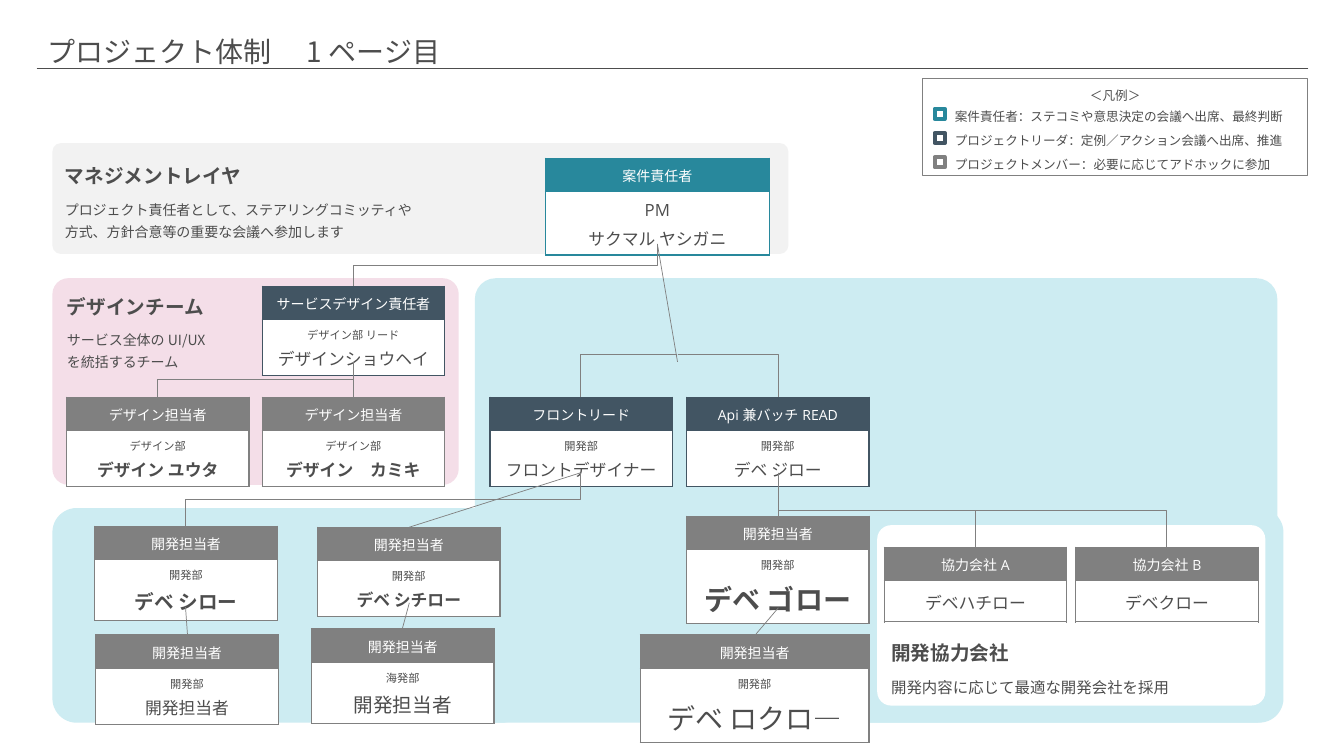
"""Build the project organisation slide."""
import pptx
import pptx.util
import pptx.dml.color
import pptx.enum.shapes
import pptx.enum.text
import pptx.oxml
import pptx.oxml.ns
import lxml.etree

PX = 9144
HUE = {"ink": "4D4D4D", "white": "FFFFFF", "teal": "28889C", "navy": "425563",
       "gray": "808080", "pale": "F2F2F2", "pink": "F4DEE8", "aqua": "CDECF2"}
RGB = {key: pptx.dml.color.RGBColor.from_string(hue) for key, hue in HUE.items()}
NOTO, OPEN = "Noto Sans CJK JP", "Open Sans"
Pt = pptx.util.Pt
Form = pptx.enum.shapes.MSO_SHAPE
Link = pptx.enum.shapes.MSO_CONNECTOR
Align = pptx.enum.text.PP_ALIGN
Anchor = pptx.enum.text.MSO_ANCHOR
qn = pptx.oxml.ns.qn


def write(frame, rows, align, lead, after, color="ink"):
    """Fill a text frame with rows of text, size, bold and font."""
    for i, (text, size, bold, face) in enumerate(rows):
        para = frame.paragraphs[0] if i == 0 else frame.add_paragraph()
        para.alignment, para.line_spacing, para.space_after = align, lead, Pt(after)
        for j, part in enumerate(text.split("\n")):
            if j:
                para.add_line_break()
            run = para.add_run()
            run.text = part
            run.font.size, run.font.bold, run.font.name = Pt(size), bold, face
            run.font.color.rgb = RGB[color]
            east = lxml.etree.SubElement(run.font._element, qn("a:ea"))
            east.set("typeface", NOTO)


def block(form, box, fill, line=None, width=1):
    """Add a plain shape with its fill and outline."""
    shape = slide.shapes.add_shape(form, *[n * PX for n in box])
    shape.shadow.inherit = False
    shape.fill.solid()
    shape.fill.fore_color.rgb = RGB[fill]
    if line:
        shape.line.color.rgb = RGB[line]
        shape.line.width = Pt(width)
    else:
        shape.line.fill.background()
    return shape


deck = pptx.Presentation()
deck.slide_width, deck.slide_height = 1333 * PX, 750 * PX
slide = deck.slides.add_slide(deck.slide_layouts[5])

title = slide.shapes.title
title.left, title.top, title.width, title.height = 37 * PX, 68 * PX, 1260 * PX, 0
title.line.color.rgb = RGB["ink"]
title.line.width = Pt(0.75)
title.text_frame.vertical_anchor = Anchor.BOTTOM
title.text_frame.auto_size = pptx.enum.text.MSO_AUTO_SIZE.NONE
write(title.text_frame, [("プロジェクト体制　1ページ目", 20, False, NOTO)], Align.LEFT, 0.9, 0)

panels = [
    ((803, 504, 470, 213), 0.113, "aqua", Anchor.TOP, "", "", 10),
    ((52, 142, 730, 110), 0.077, "pale", Anchor.MIDDLE, "マネジメントレイヤ",
     "プロジェクト責任者として、ステアリングコミッティや\n方式、方針合意等の重要な会議へ参加します", 10),
    ((52, 276, 403, 205), 0.077, "pink", Anchor.TOP, "デザインチーム",
     "サービス全体のUI/UX\nを統括するチーム", 10),
    ((471, 276, 796, 441), 0.047, "aqua", Anchor.TOP, "", "", 10),
    ((52, 504, 470, 213), 0.113, "aqua", Anchor.TOP, "", "", 10),
    ((870, 521, 385, 179), 0.077, "white", Anchor.BOTTOM, "開発協力会社",
     "開発内容に応じて最適な開発会社を採用", 11),
]
for box, bend, fill, anchor, head, body, size in panels:
    panel = block(Form.ROUNDED_RECTANGLE, box, fill)
    panel.adjustments[0] = bend
    panel.text_frame.vertical_anchor = anchor
    if head:
        write(panel.text_frame, [(head, 14, True, NOTO), (body, size, False, NOTO)],
              Align.LEFT, 1.3, 6)

cards = [
    (541, 157, 222, 95, "teal", "案件責任者", "PM", "サクマル ヤシガニ", 12, False),
    (260, 284, 181, 88, "navy", "サービスデザイン責任者", "デザイン部 リード", "デザインショウヘイ", 12, False),
    (260, 394, 181, 88, "gray", "デザイン担当者", "デザイン部", "デザイン　カミキ", 12, True),
    (66, 394, 181, 88, "gray", "デザイン担当者", "デザイン部", "デザイン ユウタ", 12, True),
    (486, 394, 181, 88, "navy", "フロントリード", "開発部", "フロントデザイナー", 12, False),
    (681, 394, 181, 88, "navy", "Api兼バッチREAD", "開発部", "デベ ジロー", 12, False),
    (681, 512, 181, 106, "gray", "開発担当者", "開発部", "デベ ゴロー", 20, True),
    (635, 630, 227, 106, "gray", "開発担当者", "開発部", "デベ ロクロ―", 20, False),
    (315, 523, 181, 88, "gray", "開発担当者", "開発部", "デベ シチロー", 12, True),
    (309, 624, 181, 93, "gray", "開発担当者", "海発部", "開発担当者", 14, False),
    (94, 522, 181, 93, "gray", "開発担当者", "開発部", "デベ シロー", 14, True),
    (95, 630, 181, 88, "gray", "開発担当者", "開発部", "開発担当者", 12, False),
    (877, 543, 181, 74, "gray", "協力会社A", "", "デベハチロー", 12, False),
    (1067, 543, 181, 74, "gray", "協力会社B", "", "デベクロー", 12, False),
]
for x, y, w, h, hue, role, unit, name, size, bold in cards:
    table = slide.shapes.add_table(2, 1, x * PX, y * PX, w * PX, h * PX).table
    table.rows[0].height, table.rows[1].height = 33 * PX, (h - 33) * PX
    body = [(name, size, bold, NOTO if bold else OPEN)]
    if unit:
        body.insert(0, (unit, 12 if unit == "PM" else 8, False, OPEN))
    parts = [([(role, 10, False, OPEN)], hue, "white"), (body, "white", "ink")]
    for i, (rows, fill, color) in enumerate(parts):
        cell = table.cell(i, 0)
        cell.vertical_anchor = Anchor.MIDDLE
        cell.fill.solid()
        cell.fill.fore_color.rgb = RGB[fill]
        write(cell.text_frame, rows, Align.CENTER, 1.1, 1, color)
        props = cell._tc.get_or_add_tcPr()
        for j, side in enumerate("LRTB"):
            edge = lxml.etree.Element(qn("a:ln" + side), w="12700")
            paint = lxml.etree.SubElement(edge, qn("a:solidFill"))
            lxml.etree.SubElement(paint, qn("a:srgbClr"), val=HUE[hue])
            props.insert(j, edge)

wires = [
    ("drop", 652, 242, 350, 284), ("line", 350, 359, 350, 394),
    ("drop", 350, 359, 156, 394), ("turn", 672, 352, 576, 394),
    ("turn", 672, 352, 772, 394), ("line", 576, 469, 406, 523),
    ("line", 772, 469, 772, 512), ("line", 772, 603, 749, 630),
    ("line", 406, 598, 399, 624), ("drop", 576, 469, 184, 522),
    ("line", 652, 242, 672, 359), ("line", 184, 602, 186, 630),
    ("drop", 772, 469, 967, 543), ("drop", 772, 469, 1157, 543),
]
for kind, x1, y1, x2, y2 in wires:
    form = Link.STRAIGHT if kind == "line" else Link.ELBOW
    wire = slide.shapes.add_connector(form, x1 * PX, y1 * PX, x2 * PX, y2 * PX)
    wire.line.color.rgb = RGB["gray"]
    wire.line.width = Pt(0.5)
    props = wire._element.spPr
    lxml.etree.SubElement(props, qn("a:effectLst"))
    if kind == "turn":
        props.find(qn("a:prstGeom")).set("prst", "bentConnector2")
    if kind == "drop":
        wide, tall = abs(x2 - x1), y2 - y1
        wire.left = (x1 + x2 - tall) * PX // 2
        wire.top = (y1 + y2 - wide) * PX // 2
        wire.width, wire.height = tall * PX, wide * PX
        frame = props.find(qn("a:xfrm"))
        frame.set("rot", "5400000" if x2 < x1 else "16200000")
        frame.set("flipH", "0" if x2 < x1 else "1")

legend = block(Form.RECTANGLE, (915, 78, 382, 96), "white", "gray")
legend.text_frame.vertical_anchor = Anchor.TOP
write(legend.text_frame, [("＜凡例＞", 9, False, NOTO)], Align.CENTER, 1.3, 6)
keys = [("teal", "案件責任者：ステコミや意思決定の会議へ出席、最終判断"),
        ("navy", "プロジェクトリーダ：定例／アクション会議へ出席、推進"),
        ("gray", "プロジェクトメンバー：必要に応じてアドホックに参加")]
for i, (hue, text) in enumerate(keys):
    mark = block(Form.RECTANGLE, (927, 108 + 24 * i, 10, 10), "white", hue, 3)
    frame = mark.text_frame
    frame.word_wrap = False
    frame.vertical_anchor = Anchor.MIDDLE
    frame.margin_left = frame.margin_right = frame.margin_top = frame.margin_bottom = 0
    write(frame, [(text, 9, False, NOTO)], Align.LEFT, 1.3, 6)
    frame.paragraphs[0]._p.get_or_add_pPr().set("marL", str(20 * PX))

deck.save("out.pptx")
